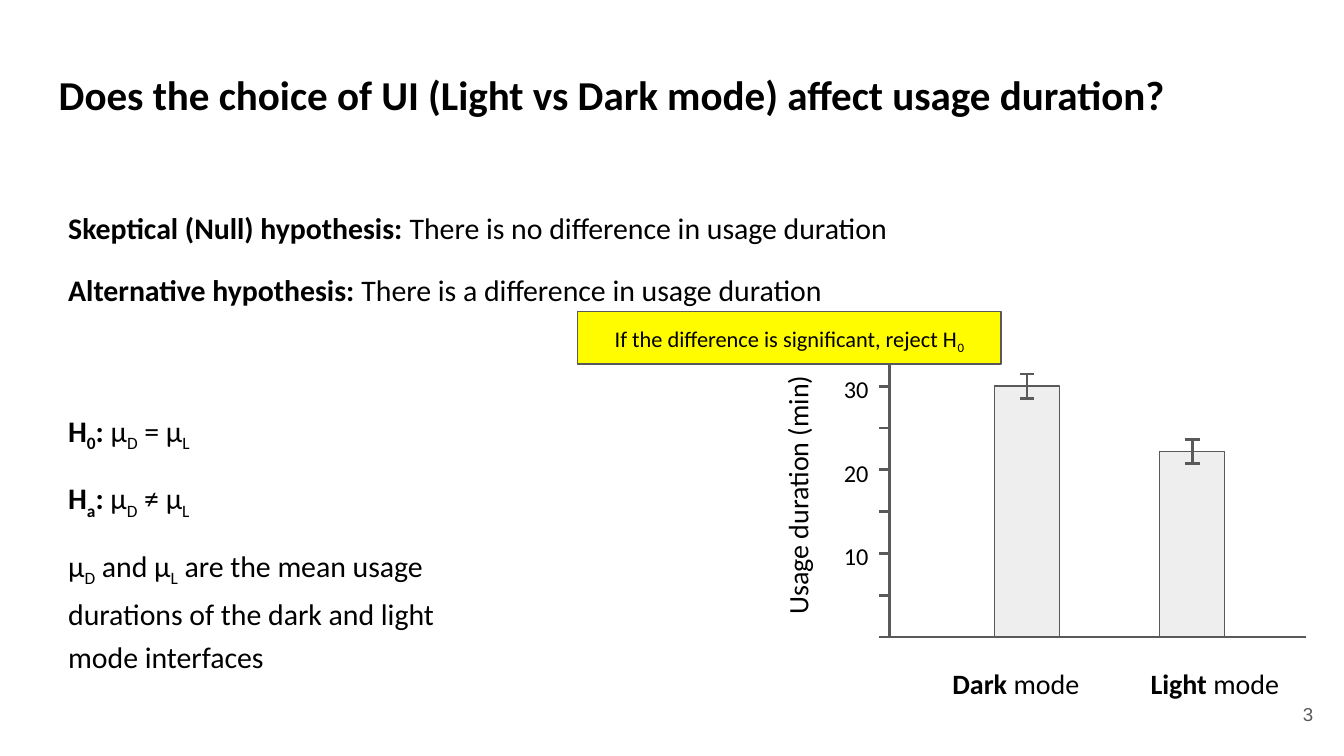
import pptx
import pptx.util
import pptx.dml.color
import pptx.enum.shapes
import pptx.enum.text
import lxml.etree

Cm = pptx.util.Cm
Pt = pptx.util.Pt
ALIGN = pptx.enum.text.PP_ALIGN
ANCHOR = pptx.enum.text.MSO_ANCHOR

COLORS = {"text": "000000", "line": "595959", "bar": "EEEEEE",
          "callout": "FFFC00", "background": "FFFFFF"}

# RUNS = (text, style): b is bold, s is subscript
TITLE = [[("Does the choice of UI (Light vs Dark mode) affect usage duration?", "b")]]
HYPOTHESES = [
    [("Skeptical (Null) hypothesis: ", "b"), ("There is no difference in usage duration", "")],
    [("Alternative hypothesis:", "b"), (" There is a difference in usage duration", "")],
]
NOTATION = [
    [("H", "b"), ("0", "bs"), (": ", "b"), ("µ", ""), ("D", "s"), (" = µ", ""), ("L", "s")],
    [("H", "b"), ("a", "bs"), (": ", "b"), ("µ", ""), ("D", "s"), (" ≠ µ", ""), ("L", "s")],
    [("µ", ""), ("D", "s"), (" and µ", ""), ("L", "s"),
     (" are the mean usage durations of the dark and light mode interfaces", "")],
]
CALLOUT = [[("If the difference is significant, reject H", ""), ("0", "s")]]
AXIS_TITLE = [[("Usage duration (min)", "")]]
PAGE_NUMBER = [[("3", "")]]
BARS = [
    {"name": "Dark", "value": 30, "left": 18.8, "label_left": 17.45, "label_width": 3.5},
    {"name": "Light", "value": 22.2, "left": 21.92, "label_left": 21.16, "label_width": 3.6},
]
AXIS_LABELS = [10, 20, 30]

AXIS_X, AXIS_TOP, AXIS_BASE, AXIS_RIGHT = 16.81, 6.6, 12.04, 24.69
TICK_COUNT, TICK_STEP, TICK_LENGTH, TICK_VALUE = 7, 0.79, 0.2, 5
BAR_WIDTH, ERROR_HALF, CAP_HALF = 1.22, 0.23, 0.14


def color(name):
    return pptx.dml.color.RGBColor.from_string(COLORS[name])


def height_of(value):
    return AXIS_BASE - value / TICK_VALUE * TICK_STEP


def write(shape, paragraphs, size, align=ALIGN.LEFT, anchor=ANCHOR.TOP, spacing=1.2,
          before=0, after=0, font="Calibri", ink="text"):
    frame = shape.text_frame
    frame.word_wrap = True
    frame.vertical_anchor = anchor
    frame.margin_left = frame.margin_right = Cm(0.25)
    frame.margin_top = frame.margin_bottom = Cm(0.25)
    for index, runs in enumerate(paragraphs):
        paragraph = frame.paragraphs[0] if index == 0 else frame.add_paragraph()
        paragraph.alignment = align
        paragraph.line_spacing = spacing
        paragraph.space_before = Pt(before if index else 0)
        paragraph.space_after = Pt(after if index == len(paragraphs) - 1 else 0)
        paragraph.font.name = font
        paragraph.font.size = Pt(size)
        paragraph.font.color.rgb = color(ink)
        for text, style in runs:
            run = paragraph.add_run()
            run.text = text
            run.font.bold = "b" in style
            if "s" in style:
                run._r.get_or_add_rPr().set("baseline", "-25000")


def add_text(slide, box, paragraphs, size, **options):
    shape = slide.shapes.add_textbox(*map(Cm, box))
    write(shape, paragraphs, size, **options)
    return shape


def add_box(slide, box, fill):
    shape = slide.shapes.add_shape(pptx.enum.shapes.MSO_SHAPE.RECTANGLE, *map(Cm, box))
    shape.shadow.inherit = False
    shape.fill.solid()
    shape.fill.fore_color.rgb = color(fill)
    shape.line.color.rgb = color("line")
    shape.line.width = Pt(0.75)
    return shape


def add_line(shapes, *ends):
    line = shapes.add_connector(pptx.enum.shapes.MSO_CONNECTOR.STRAIGHT, *map(Cm, ends))
    line.line.color.rgb = color("line")
    line.line.width = Pt(1.5)
    lxml.etree.SubElement(line._element.spPr, pptx.oxml.ns.qn("a:effectLst"))


def add_error_bar(slide, x, y):
    shapes = slide.shapes.add_group_shape().shapes
    add_line(shapes, x, y - ERROR_HALF, x, y + ERROR_HALF)
    for cap in (y - ERROR_HALF, y + ERROR_HALF):
        add_line(shapes, x - CAP_HALF, cap, x + CAP_HALF, cap)


def add_bar_plot(slide):
    add_line(slide.shapes, AXIS_X, AXIS_TOP, AXIS_X, AXIS_BASE)
    add_line(slide.shapes, AXIS_X, AXIS_BASE, AXIS_RIGHT, AXIS_BASE)
    for index in range(TICK_COUNT):
        y = AXIS_BASE - index * TICK_STEP
        add_line(slide.shapes, AXIS_X, y, AXIS_X - TICK_LENGTH, y)
    for value in AXIS_LABELS:
        add_text(slide, (15.21, height_of(value) - 0.5, 1.45, 1), [[(str(value), "")]], 13,
                 align=ALIGN.RIGHT, anchor=ANCHOR.MIDDLE, after=10)
    for bar in BARS:
        top = height_of(bar["value"])
        add_box(slide, (bar["left"], top, BAR_WIDTH, AXIS_BASE - top), "bar")
        add_error_bar(slide, bar["left"] + BAR_WIDTH / 2, top)
        add_text(slide, (bar["label_left"], 12.22, bar["label_width"], 1.14),
                 [[(bar["name"] + " ", "b"), ("mode", "")]], 15, align=ALIGN.CENTER, after=10)
    axis_title = add_text(slide, (12.17, 8.79, 5.54, 1.14), AXIS_TITLE, 15,
                          align=ALIGN.CENTER, after=10)
    axis_title.rotation = 270


def main():
    presentation = pptx.Presentation()
    presentation.slide_width = Cm(25.4)
    presentation.slide_height = Cm(14.29)
    slide = presentation.slides.add_slide(presentation.slide_layouts[6])
    slide.background.fill.solid()
    slide.background.fill.fore_color.rgb = color("background")

    add_text(slide, (0.86, 1.24, 23.67, 1.6), TITLE, 22, spacing=0.8)
    add_text(slide, (1.04, 3.58, 18.06, 2.36), HYPOTHESES, 16, before=10, after=10)
    add_bar_plot(slide)
    add_text(slide, (1.04, 7.39, 8.48, 5.18), NOTATION, 16, before=10, after=10)
    callout = add_box(slide, (10.92, 5.89, 8, 0.99), "callout")
    write(callout, CALLOUT, 12, align=ALIGN.CENTER, anchor=ANCHOR.MIDDLE, spacing=1.15)
    add_text(slide, (23.55, 12.95, 1.52, 1.09), PAGE_NUMBER, 10, align=ALIGN.RIGHT,
             anchor=ANCHOR.MIDDLE, spacing=1, font="Arial", ink="line")
    presentation.save("out.pptx")


if __name__ == "__main__":
    main()
